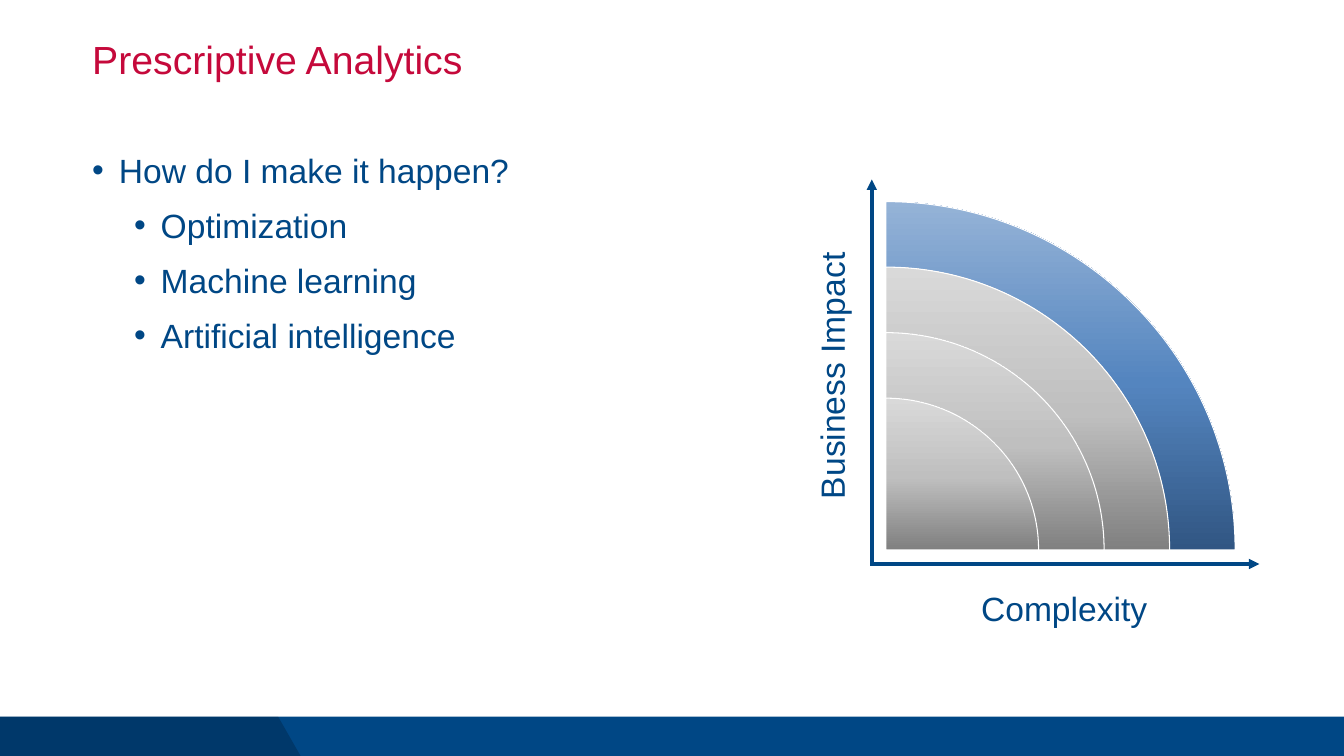
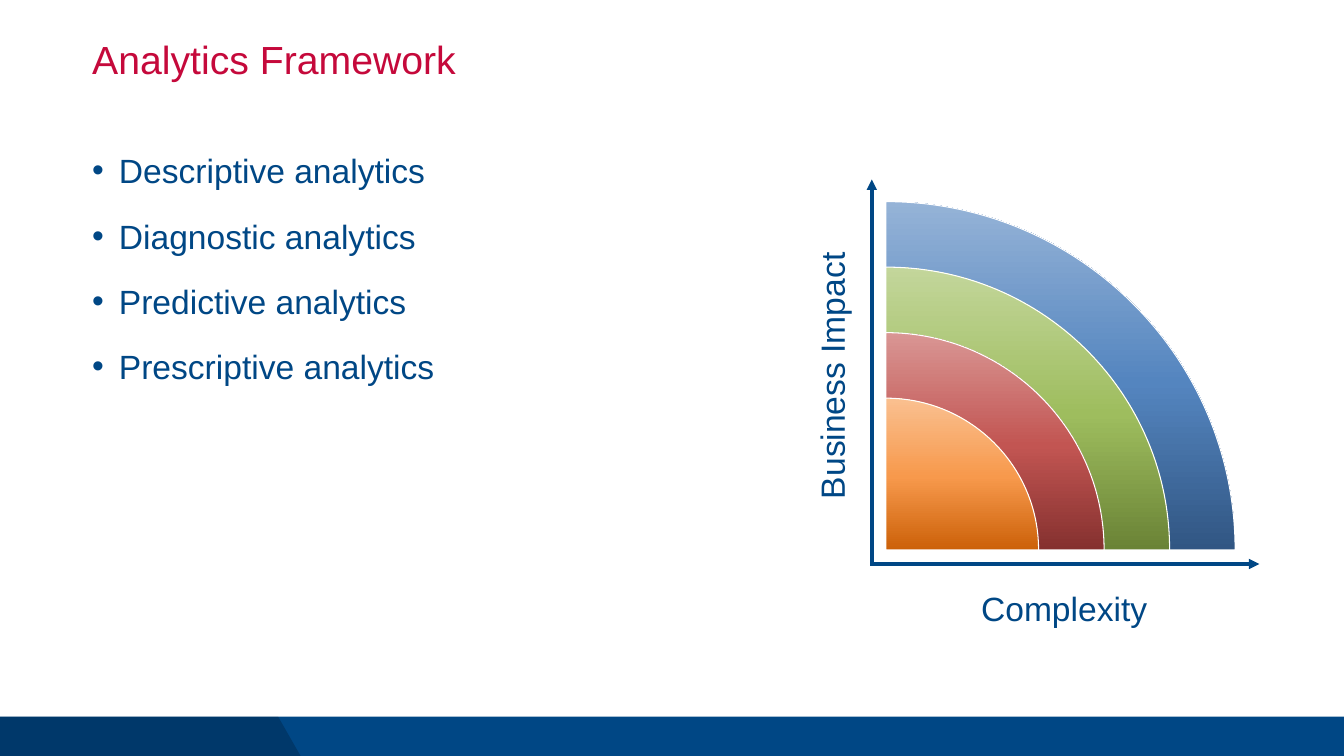
from copy import deepcopy

from lxml.etree import SubElement
from pptx import Presentation
from pptx.dml.color import RGBColor
from pptx.enum.shapes import MSO_CONNECTOR as LINK, MSO_SHAPE as SHAPE
from pptx.enum.text import MSO_ANCHOR as ANCHOR, MSO_AUTO_SIZE as SIZING, PP_ALIGN as ALIGN
from pptx.oxml.ns import qn
from pptx.util import Inches, Pt

FONT = "Arial"
NAVY = RGBColor(0x00, 0x47, 0x85)
RED = RGBColor(0xC5, 0x09, 0x3B)
BLACK = RGBColor(0x00, 0x00, 0x00)
WHITE = RGBColor(0xFF, 0xFF, 0xFF)

BLUES = (RGBColor(0x31, 0x56, 0x83), RGBColor(0x54, 0x85, 0xBF), RGBColor(0x95, 0xB3, 0xD7))
GREENS = (RGBColor(0x6A, 0x83, 0x36), RGBColor(0x9E, 0xBD, 0x5E), RGBColor(0xC3, 0xD6, 0x9B))
REDS = (RGBColor(0x85, 0x31, 0x2F), RGBColor(0xC2, 0x55, 0x52), RGBColor(0xD9, 0x96, 0x94))
GOLDS = (RGBColor(0xCC, 0x61, 0x09), RGBColor(0xF7, 0x99, 0x4C), RGBColor(0xFA, 0xC0, 0x90))
GRAYS = (RGBColor(0x80, 0x80, 0x80), RGBColor(0xBF, 0xBF, 0xBF), RGBColor(0xD9, 0xD9, 0xD9))

WIDE, HIGH = 26.67, 15
FOOT_TOP, FOOT_HIGH = 14.22, 0.84
RING_LEFT, RING_BASE = 17.58, 10.91
RING_SIZE, RING_STEP = 6.91, 1.3
CURVE = 0.5523


def add_run(para, text, size, color):
    run = para.add_run()
    run.text = text
    run.font.name = FONT
    run.font.size = Pt(size)
    run.font.color.rgb = color


def clear_pads(frame):
    frame.margin_left = frame.margin_right = 0
    frame.margin_top = frame.margin_bottom = 0


def paint(shape, color):
    shape.shadow.inherit = False
    shape.fill.solid()
    shape.fill.fore_color.rgb = color
    shape.line.fill.background()


def add_foot(slide):
    band = slide.shapes.add_shape(
        SHAPE.RECTANGLE, 0, Inches(FOOT_TOP), Inches(WIDE), Inches(FOOT_HIGH))
    paint(band, NAVY)
    low = FOOT_TOP + FOOT_HIGH
    pen = slide.shapes.build_freeform(0, Inches(FOOT_TOP))
    pen.add_line_segments(
        [(Inches(x), Inches(y)) for x, y in ((5.52, FOOT_TOP), (6, low), (0, low))])
    shade = pen.convert_to_shape()
    paint(shade, BLACK)
    color = next(shade._element.spPr.iter(qn("a:srgbClr")))
    SubElement(color, qn("a:alpha"), val="20000")


def add_title(slide, text):
    title = slide.shapes.title
    title.left, title.top = Inches(1.83), Inches(0.8)
    title.width, title.height = Inches(23), Inches(1.05)
    frame = title.text_frame
    clear_pads(frame)
    frame.word_wrap = True
    frame.auto_size = SIZING.NONE
    frame.vertical_anchor = ANCHOR.TOP
    para = frame.paragraphs[0]
    para.alignment = ALIGN.LEFT
    para.line_spacing = 0.9
    add_run(para, text, 56, RED)


def shade_fill(shape, tones):
    shape.fill.gradient()
    shape.fill.gradient_angle = 90
    stops = next(shape._element.spPr.iter(qn("a:gsLst")))
    stops.insert(1, deepcopy(stops[0]))
    for stop, place, tone in zip(shape.fill.gradient_stops, (0, 0.48, 1), tones):
        stop.position = place
        stop.color.rgb = tone


def bend_edge(shape):
    wide, high = shape.width, shape.height
    edge = next(shape._element.spPr.iter(qn("a:lnTo")))
    edge.tag = qn("a:cubicBezTo")
    edge.remove(edge[0])
    for x, y in ((CURVE * wide, 0), (wide, (1 - CURVE) * high), (wide, high)):
        SubElement(edge, qn("a:pt"), x=str(round(x)), y=str(round(y)))


def add_ring(slide, size, tones):
    left, base = Inches(RING_LEFT), Inches(RING_BASE)
    pen = slide.shapes.build_freeform(left, base - Inches(size))
    pen.add_line_segments([(left + Inches(size + 0.02), base), (left, base)])
    ring = pen.convert_to_shape()
    bend_edge(ring)
    ring.shadow.inherit = False
    shade_fill(ring, tones)
    ring.line.color.rgb = WHITE
    ring.line.width = Pt(1.5)


def add_arrow(slide, *ends):
    arrow = slide.shapes.add_connector(LINK.STRAIGHT, *map(Inches, ends))
    arrow.line.color.rgb = NAVY
    arrow.line.width = Pt(5)
    SubElement(arrow.line._get_or_add_ln(), qn("a:tailEnd"), type="triangle")
    SubElement(arrow._element.spPr, qn("a:effectLst"))


def add_label(slide, text, left, top, wide, turn=0):
    box = slide.shapes.add_textbox(*map(Inches, (left, top, wide, 0.94)))
    box.rotation = turn
    frame = box.text_frame
    frame.margin_left = frame.margin_right = Inches(0.1)
    frame.margin_top = frame.margin_bottom = Inches(0.1)
    frame.word_wrap = False
    frame.auto_size = SIZING.SHAPE_TO_FIT_TEXT
    add_run(frame.paragraphs[0], text, 48, NAVY)


def add_chart(slide, rings):
    for step, tones in enumerate(rings):
        add_ring(slide, RING_SIZE - step * RING_STEP, tones)
    add_arrow(slide, 17.3, 11.18, 17.3, 3.56)
    add_arrow(slide, 17.27, 11.19, 24.99, 11.19)
    add_label(slide, "Business Impact", 13.92, 6.98, 5.1, 270)
    add_label(slide, "Complexity", 19.37, 11.57, 3.51)


def add_list(slide, items):
    box = slide.shapes.add_textbox(*map(Inches, (1.83, 2.9, 13.59, 11.16)))
    frame = box.text_frame
    clear_pads(frame)
    frame.word_wrap = True
    for spot, (level, text) in enumerate(items):
        para = frame.add_paragraph() if spot else frame.paragraphs[0]
        para.level = level
        para.line_spacing = 1.1
        para.space_before = Pt((30, 15)[level] if spot else 0)
        props = para._p.get_or_add_pPr()
        props.set("marL", str(Inches((0.53, 1.36)[level])))
        props.set("indent", str(Inches(-0.53)))
        SubElement(props, qn("a:buFont"), typeface=FONT)
        SubElement(props, qn("a:buChar"), char="•")
        add_run(para, text, 48, NAVY)


def add_page(deck, title, items, rings):
    slide = deck.slides.add_slide(deck.slide_layouts[5])
    add_foot(slide)
    add_title(slide, title)
    add_chart(slide, rings)
    add_list(slide, items)


def main():
    deck = Presentation()
    deck.slide_width, deck.slide_height = Inches(WIDE), Inches(HIGH)
    add_page(
        deck, "Prescriptive Analytics",
        [(0, "How do I make it happen?"), (1, "Optimization"),
         (1, "Machine learning"), (1, "Artificial intelligence")],
        (BLUES, GRAYS, GRAYS, GRAYS))
    add_page(
        deck, "Analytics Framework",
        [(0, f"{kind} analytics")
         for kind in ("Descriptive", "Diagnostic", "Predictive", "Prescriptive")],
        (BLUES, GREENS, REDS, GOLDS))
    deck.save("out.pptx")


if __name__ == "__main__":
    main()
